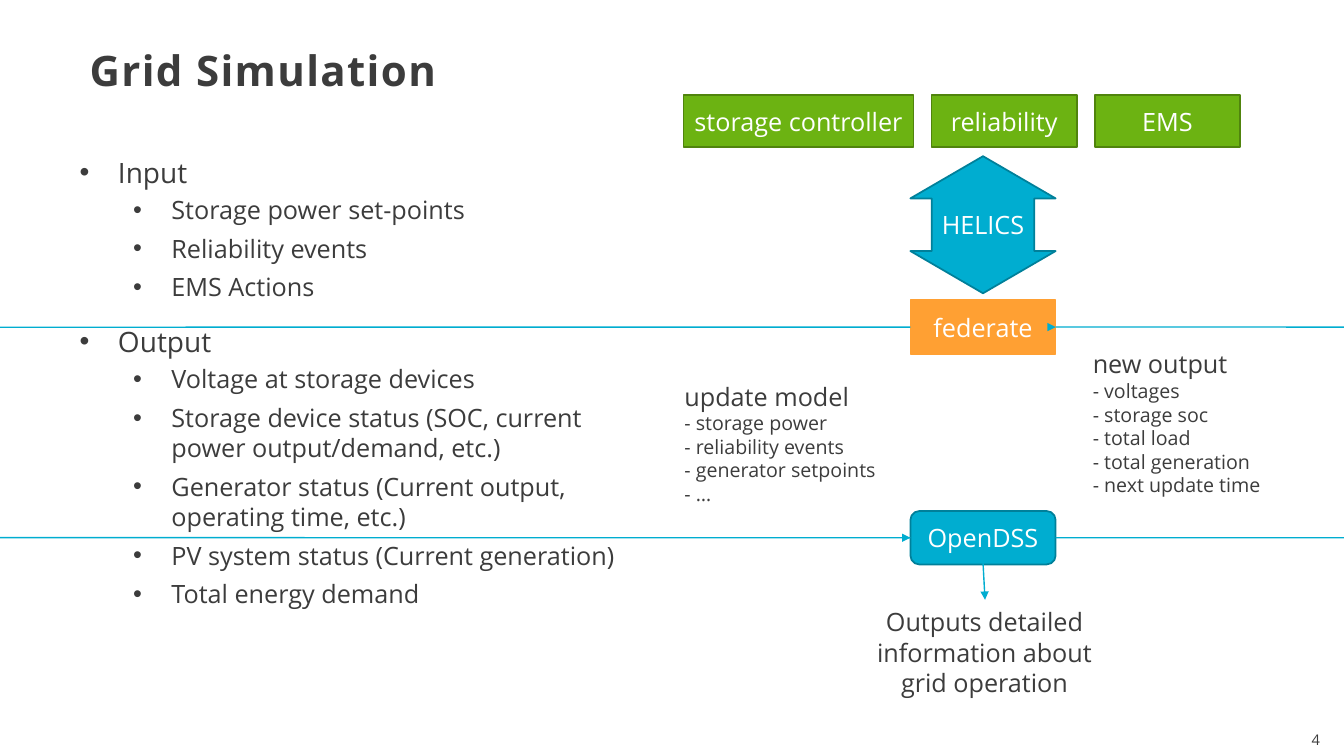
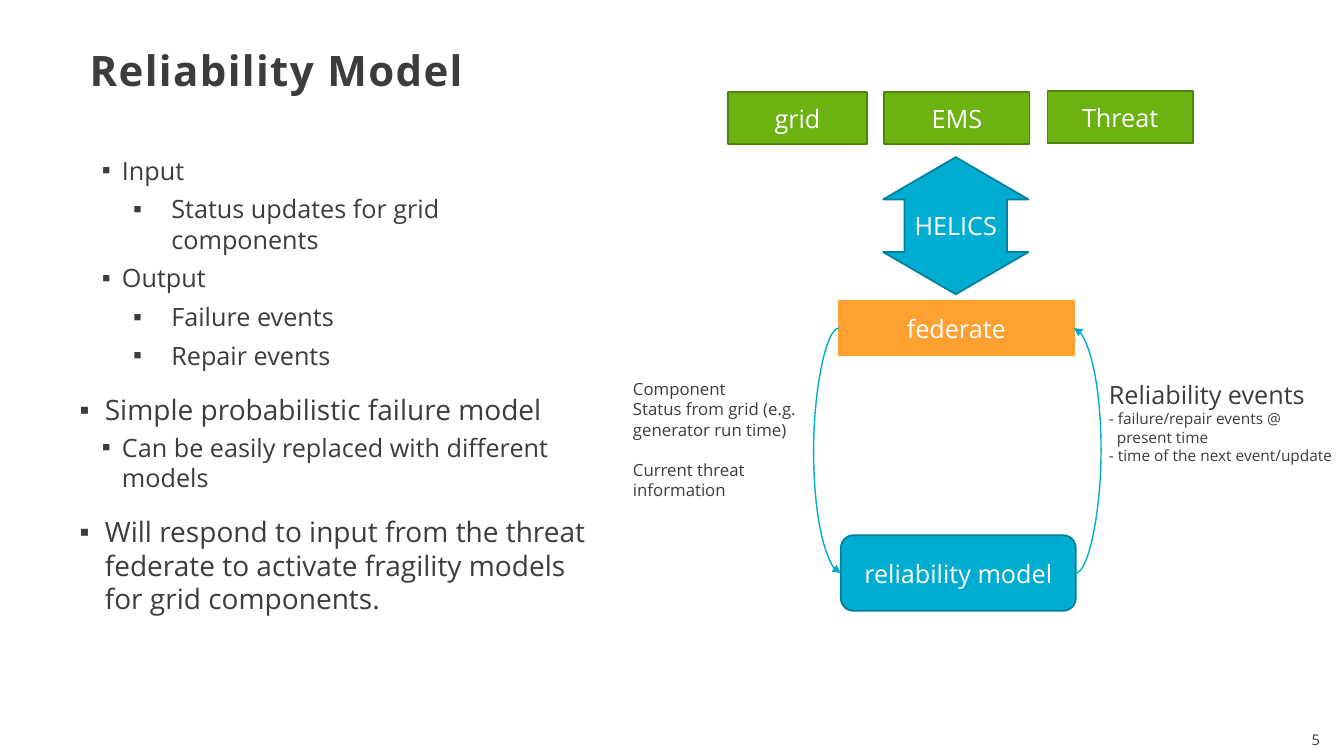
import dataclasses

import lxml.etree
import pptx
import pptx.dml.color
import pptx.enum.shapes
import pptx.enum.text
import pptx.oxml.ns
import pptx.util

Inches = pptx.util.Inches
Pt = pptx.util.Pt
qn = pptx.oxml.ns.qn
Shape = pptx.enum.shapes.MSO_SHAPE
Connector = pptx.enum.shapes.MSO_CONNECTOR
Align = pptx.enum.text.PP_ALIGN
Anchor = pptx.enum.text.MSO_ANCHOR

TOP, LEFT, BOTTOM, RIGHT = range(4)


@dataclasses.dataclass(frozen=True)
class Theme:
    font: str = "Open Sans"
    bullet_font: str = "Arial"
    ink: str = "3C3C3C"
    white: str = "FFFFFF"
    blue: str = "00ADD0"
    blue_edge: str = "00809A"
    orange: str = "FFA033"
    green: str = "6CB312"
    green_edge: str = "50840D"
    title: float = 30
    topic: float = 20
    text: float = 18
    detail: float = 14
    note: float = 12
    small: float = 11
    footer: float = 10.5
    edge_width: float = 1.25
    arrow_width: float = 1


THEME = Theme()


@dataclasses.dataclass(frozen=True)
class Level:
    size: float
    indent: float
    hanging: float
    before: float
    after: float


TOPIC = Level(THEME.topic, 0.38, 0.38, 12, 2)
TIGHT_TOPIC = Level(THEME.topic, 0.25, 0.25, 12, 2)
POINT = Level(THEME.text, 0.42, 0.2, 2, 4)
SUBPOINT = Level(THEME.text, 0.91, 0.38, 2, 4)


class SlideBuilder:
    def __init__(self, deck, theme):
        self.deck = deck
        self.theme = theme
        self.page = None

    def start(self, title, number):
        self.page = self.deck.slides.add_slide(self.deck.slide_layouts[6])
        self.text_box(12.5, 7.2, 0.69, 0.29, [(str(number), self.theme.footer)], Align.RIGHT)
        box = self.text_box(0.79, 0.47, 10.89, 0.49, [(title, self.theme.title)])
        para = box.text_frame.paragraphs[0]
        para.line_spacing = 0.85
        span = para.runs[0]
        span.font.bold = True
        span.font._element.set("spc", "100")

    def style(self, para, size, color, align=Align.LEFT):
        para.alignment = align
        for span in para.runs:
            span.font.name = self.theme.font
            span.font.size = Pt(size)
            span.font.color.rgb = pptx.dml.color.RGBColor.from_string(color)

    def text_box(self, left, top, width, height, lines, align=Align.LEFT):
        box = self.page.shapes.add_textbox(Inches(left), Inches(top), Inches(width), Inches(height))
        frame = box.text_frame
        frame.word_wrap = True
        frame.text = "\n".join(text for text, size in lines)
        for para, (text, size) in zip(frame.paragraphs, lines):
            self.style(para, size, self.theme.ink, align)
        return box

    def bullets(self, width, symbol, items):
        lines = [(text, level.size) for level, text in items]
        frame = self.text_box(0.79, 1.49, width, 5.14, lines).text_frame
        frame.margin_left = frame.margin_right = 0
        for para, (level, text) in zip(frame.paragraphs, items):
            para.space_before = Pt(level.before)
            para.space_after = Pt(level.after)
            properties = para._p.get_or_add_pPr()
            properties.set("marL", str(Inches(level.indent)))
            properties.set("indent", str(-Inches(level.hanging)))
            lxml.etree.SubElement(properties, qn("a:buFont"), typeface=self.theme.bullet_font)
            lxml.etree.SubElement(properties, qn("a:buChar"), char=symbol)

    def shape(self, kind, left, top, width, height, text, fill, edge):
        shape = self.page.shapes.add_shape(
            kind, Inches(left), Inches(top), Inches(width), Inches(height)
        )
        shape.shadow.inherit = False
        shape.fill.solid()
        shape.fill.fore_color.rgb = pptx.dml.color.RGBColor.from_string(fill)
        shape.line.color.rgb = pptx.dml.color.RGBColor.from_string(edge)
        shape.line.width = Pt(self.theme.edge_width)
        frame = shape.text_frame
        frame.text = text
        frame.vertical_anchor = Anchor.MIDDLE
        self.style(frame.paragraphs[0], self.theme.text, self.theme.white, Align.CENTER)
        return shape

    def peer(self, left, top, width, text):
        theme = self.theme
        return self.shape(Shape.RECTANGLE, left, top, width, 0.52, text, theme.green, theme.green_edge)

    def federate(self, left, top, width):
        orange = self.theme.orange
        return self.shape(Shape.RECTANGLE, left, top, width, 0.53, "federate", orange, orange)

    def model(self, left, top, width, height, text):
        theme = self.theme
        return self.shape(
            Shape.ROUNDED_RECTANGLE, left, top, width, height, text, theme.blue, theme.blue_edge
        )

    def exchange(self, left, top):
        theme = self.theme
        arrow = self.shape(
            Shape.UP_DOWN_ARROW, left, top, 1.44, 1.36, "HELICS", theme.blue, theme.blue_edge
        )
        arrow.text_frame.word_wrap = False
        guides = arrow._element.spPr.find(qn("a:prstGeom")).find(qn("a:avLst"))
        for guide in list(guides):
            guides.remove(guide)
        for name, value in (("adj1", 70700), ("adj2", 30800)):
            lxml.etree.SubElement(guides, qn("a:gd"), name=name, fmla=f"val {value}")

    def finish_arrow(self, connector):
        connector.line.color.rgb = pptx.dml.color.RGBColor.from_string(self.theme.blue)
        connector.line.width = Pt(self.theme.arrow_width)
        properties = connector._element.spPr
        lxml.etree.SubElement(properties.find(qn("a:ln")), qn("a:tailEnd"), type="triangle")
        lxml.etree.SubElement(properties, qn("a:effectLst"))

    def arrow(self, start_x, start_y, end_x, end_y):
        points = [Inches(value) for value in (start_x, start_y, end_x, end_y)]
        self.finish_arrow(self.page.shapes.add_connector(Connector.STRAIGHT, *points))

    def loop(self, start, end, side):
        connector = self.page.shapes.add_connector(Connector.CURVE, 0, 0, 0, 0)
        connector.begin_connect(start, side)
        connector.end_connect(end, side)
        direction = -1 if side == LEFT else 1
        if connector.width == 0:
            connector.end_x = connector.end_x + direction
        bulge = direction * Inches(0.25) / (connector.end_x - connector.begin_x)
        guides = connector._element.spPr.find(qn("a:prstGeom")).find(qn("a:avLst"))
        lxml.etree.SubElement(guides, qn("a:gd"), name="adj1", fmla=f"val {round(bulge * 100000)}")
        self.finish_arrow(connector)


def build_grid_slide(builder):
    theme = builder.theme
    builder.start("Grid Simulation", 4)
    builder.bullets(5.68, "•", [
        (TOPIC, "Input"),
        (SUBPOINT, "Storage power set-points"),
        (SUBPOINT, "Reliability events"),
        (SUBPOINT, "EMS Actions"),
        (TOPIC, "Output"),
        (SUBPOINT, "Voltage at storage devices"),
        (SUBPOINT, "Storage device status (SOC, current power output/demand, etc.)"),
        (SUBPOINT, "Generator status (Current output, operating time, etc.)"),
        (SUBPOINT, "PV system status (Current generation)"),
        (SUBPOINT, "Total energy demand"),
    ])
    solver = builder.model(9.03, 5.07, 1.44, 0.53, "OpenDSS")
    federate = builder.federate(9.03, 2.98, 1.44)
    builder.loop(federate, solver, LEFT)
    builder.loop(solver, federate, RIGHT)
    updates = ["- storage power", "- reliability events", "- generator setpoints", "- …"]
    outputs = ["- voltages", "- storage soc", "- total load", "- total generation",
               "- next update time"]
    for left, top, width, height, heading, details in (
        (6.69, 3.73, 2.2, 1.35, "update model", updates),
        (10.74, 3.41, 2, 1.58, "new output", outputs),
    ):
        lines = [(heading, theme.text)] + [(text, theme.detail) for text in details]
        builder.text_box(left, top, width, height, lines)
    builder.exchange(9.03, 1.55)
    for left, width, text in (
        (6.78, 2.28, "storage controller"), (9.24, 1.44, "reliability"), (10.86, 1.44, "EMS")
    ):
        builder.peer(left, 0.94, width, text)
    builder.arrow(9.75, 5.59, 9.77, 5.95)
    summary = "Outputs detailed information about grid operation"
    builder.text_box(8.38, 5.97, 2.77, 1.01, [(summary, theme.text)], Align.CENTER)


def build_reliability_slide(builder):
    theme = builder.theme
    builder.start("Reliability Model", 5)
    builder.bullets(5.06, "▪", [
        (POINT, "Input"),
        (SUBPOINT, "Status updates for grid components"),
        (POINT, "Output"),
        (SUBPOINT, "Failure events"),
        (SUBPOINT, "Repair events"),
        (TIGHT_TOPIC, "Simple probabilistic failure model"),
        (POINT, "Can be easily replaced with different models"),
        (TIGHT_TOPIC, "Will respond to input from the threat federate to activate "
                      "fragility models for grid components."),
    ])
    model = builder.model(8.34, 5.31, 2.33, 0.75, "reliability model")
    federate = builder.federate(8.32, 2.99, 2.33)
    builder.exchange(8.76, 1.56)
    for left, top, width, text in (
        (7.22, 0.91, 1.38, "grid"), (8.77, 0.91, 1.44, "EMS"), (10.39, 0.9, 1.44, "Threat")
    ):
        builder.peer(left, top, width, text)
    builder.loop(federate, model, LEFT)
    builder.loop(model, federate, RIGHT)
    inputs = builder.text_box(6.18, 3.71, 1.96, 1.31, [
        ("Component", theme.note),
        ("Status from grid (e.g. generator run time)", theme.note),
        ("Current threat information", theme.note),
    ])
    inputs.text_frame.paragraphs[2].space_before = Pt(14.5)
    events = builder.text_box(10.9, 3.71, 2.43, 0.96, [
        ("Reliability events", theme.text),
        ("- failure/repair events @", theme.small),
        ("present time", theme.small),
        ("- time of the next event/update", theme.small),
    ])
    events.text_frame.margin_right = 0
    events.text_frame.paragraphs[2]._p.get_or_add_pPr().set("marL", str(Inches(0.08)))


def main():
    deck = pptx.Presentation()
    deck.slide_width = Inches(13.33)
    deck.slide_height = Inches(7.5)
    builder = SlideBuilder(deck, THEME)
    build_grid_slide(builder)
    build_reliability_slide(builder)
    deck.save("out.pptx")


if __name__ == "__main__":
    main()
